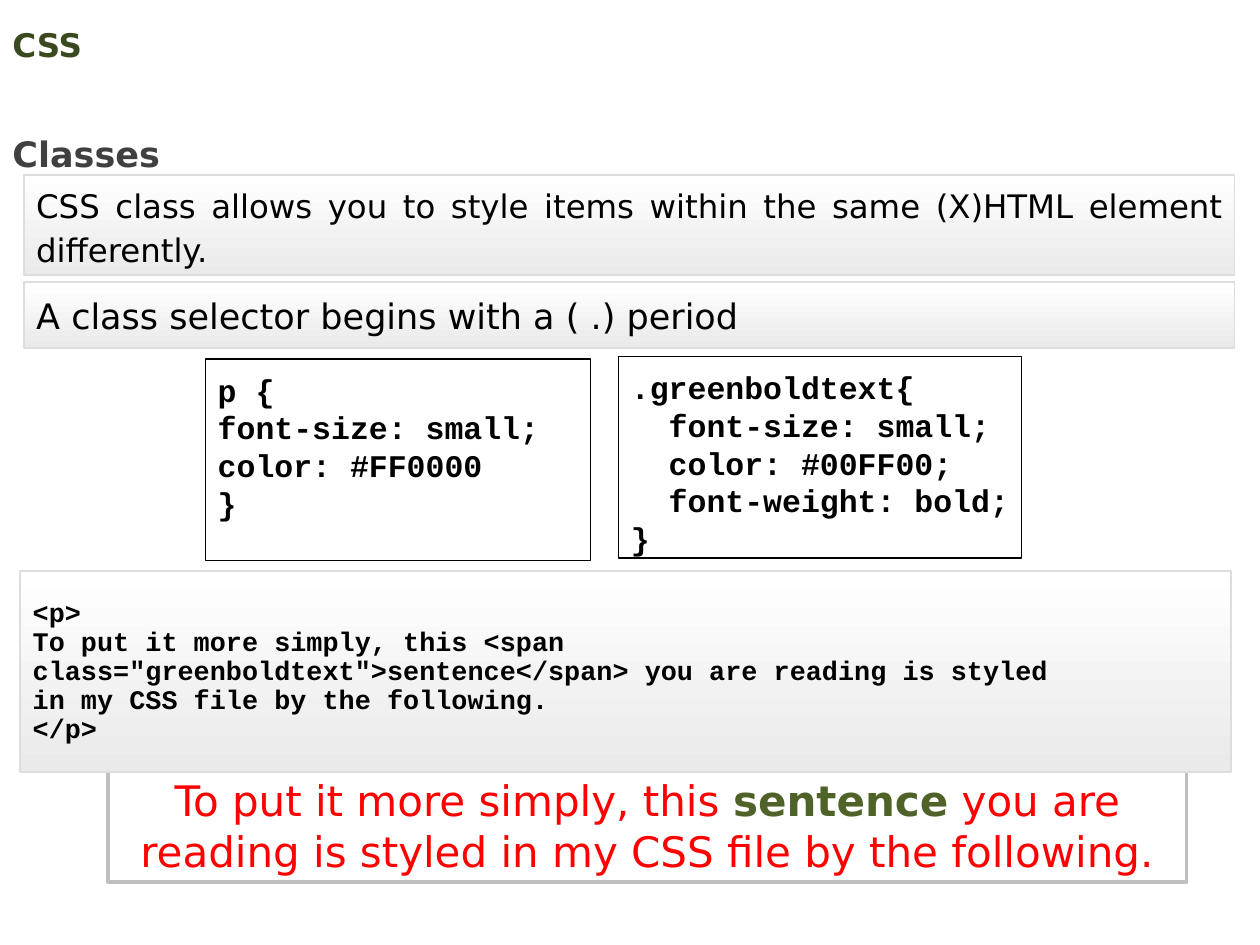
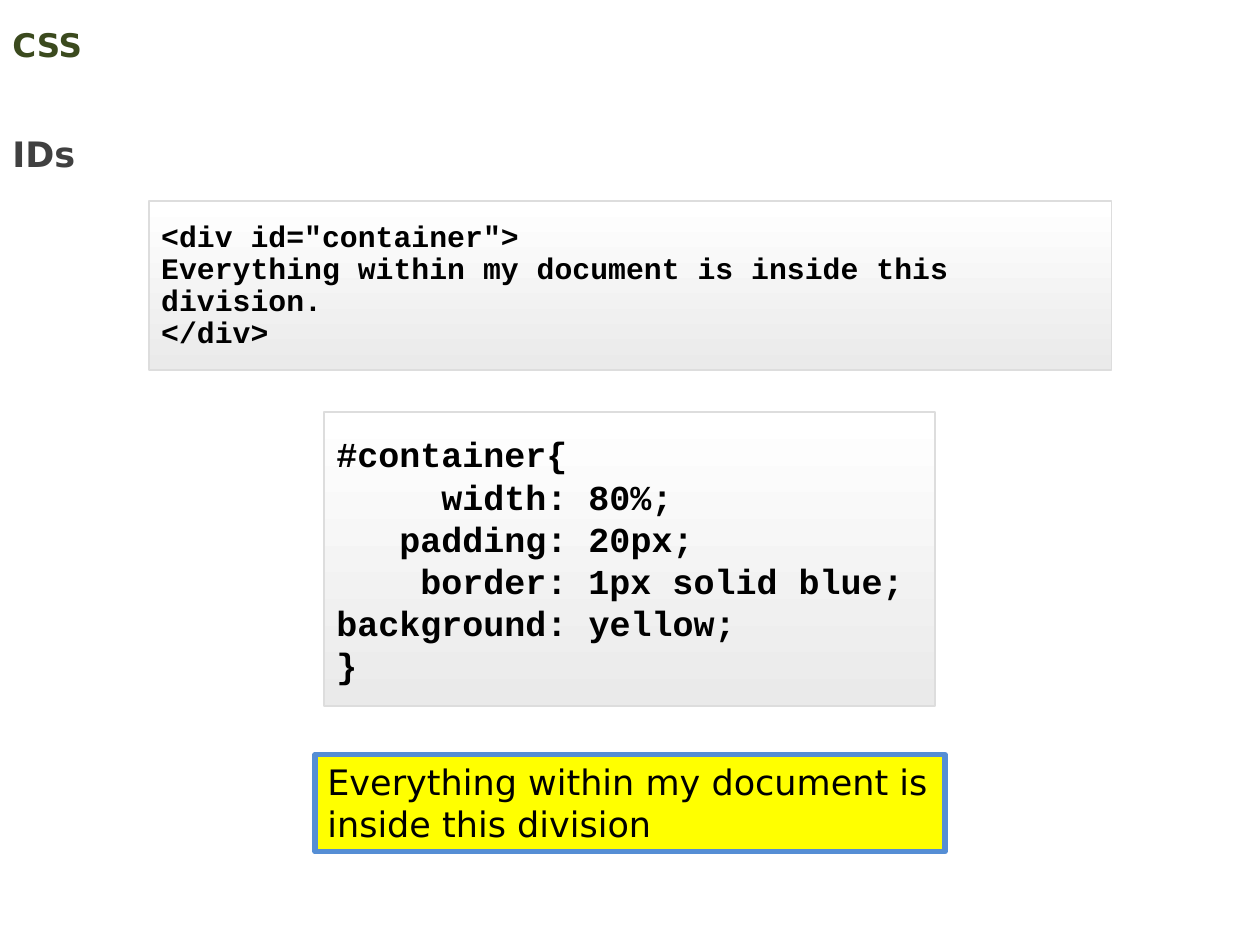
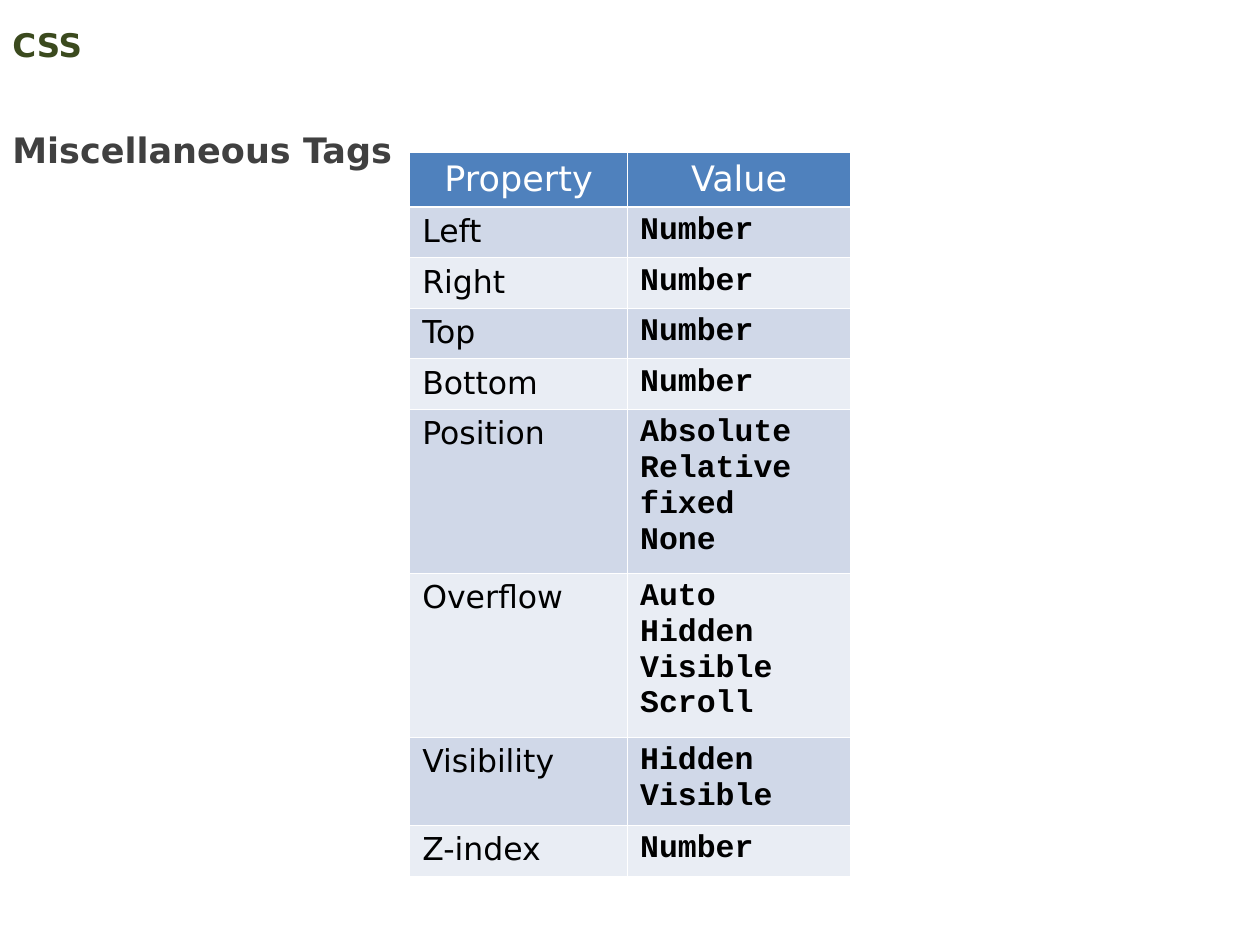
from lxml.etree import SubElement
from pptx import Presentation
from pptx.dml.color import RGBColor
from pptx.enum.shapes import MSO_SHAPE as Preset
from pptx.enum.text import MSO_ANCHOR as Anchor, PP_ALIGN as Align
from pptx.oxml.ns import qn
from pptx.util import Cm, Pt

# Colours
BLACK = RGBColor(0x00, 0x00, 0x00)
WHITE = RGBColor(0xFF, 0xFF, 0xFF)
RED = RGBColor(0xFF, 0x00, 0x00)
YELLOW = RGBColor(0xFF, 0xFF, 0x00)
TITLE_GREEN = RGBColor(0x3B, 0x4A, 0x1E)
SENTENCE_GREEN = RGBColor(0x4F, 0x62, 0x28)
HEADING_GREY = RGBColor(0x40, 0x40, 0x40)
PANEL_GREY = RGBColor(0xEA, 0xEA, 0xEA)
PANEL_LINE = RGBColor(0xDD, 0xDD, 0xDD)
RESULT_LINE = RGBColor(0xBF, 0xBF, 0xBF)
RESULT_BLUE = RGBColor(0x55, 0x8E, 0xD5)
HEADER_BLUE = RGBColor(0x4F, 0x81, 0xBD)
ROW_BANDS = (RGBColor(0xD0, 0xD8, 0xE8), RGBColor(0xE9, 0xED, 0xF4))

# Text formats
BODY = {"name": "DejaVu Sans", "bold": False, "color": BLACK}
CODE = {"name": "Courier New", "bold": True, "color": BLACK}
TITLE = BODY | {"size": Pt(18.6), "bold": True, "color": TITLE_GREEN}
HEADING = BODY | {"size": Pt(20), "bold": True, "color": HEADING_GREY}
LEFT = {"alignment": Align.LEFT}
CENTRED = {"alignment": Align.CENTER}
STATEMENT = {"alignment": Align.JUSTIFY, "line_spacing": Pt(25), "space_after": Pt(5)}
TIGHT = LEFT | {"line_spacing": 0.9}
CODE_CHARACTER_WIDTH = 0.6  # share of the font size

SIDE_MARGIN, NARROW_MARGIN = Cm(0.25), Cm(0.13)
FRAME = {"word_wrap": True, "vertical_anchor": Anchor.TOP,
         "margin_left": SIDE_MARGIN, "margin_right": SIDE_MARGIN,
         "margin_top": NARROW_MARGIN, "margin_bottom": NARROW_MARGIN}
PANEL_FRAME = FRAME | {"vertical_anchor": Anchor.MIDDLE,
                       "margin_top": SIDE_MARGIN, "margin_bottom": SIDE_MARGIN}
RULE_FRAME = FRAME | {"margin_right": 0}


def apply(target, values):
    for name, value in values.items():
        setattr(target, name, value)


def add_run(paragraph, text, font):
    run = paragraph.add_run()
    run.text = text
    apply(run.font, {key: value for key, value in font.items() if key != "color"})
    run.font.color.rgb = font["color"]


def write(frame, lines, font, layout=LEFT):
    """Write one paragraph a line; a line is a string or a list of (text, font changes)."""
    for number, line in enumerate(lines):
        paragraph = frame.add_paragraph() if number else frame.paragraphs[0]
        apply(paragraph, layout)
        if isinstance(line, str):
            code = line.lstrip()
            depth = len(line) - len(code)
            if depth:
                indent = int(depth * CODE_CHARACTER_WIDTH * font["size"])
                paragraph._p.get_or_add_pPr().set("marL", str(indent))
            line = [(code, {})]
        for text, changes in line:
            add_run(paragraph, text, font | changes)


def add_label(slide, box, text, font, frame=FRAME, layout=LEFT):
    label = slide.shapes.add_textbox(*map(Cm, box))
    apply(label.text_frame, frame)
    write(label.text_frame, [text], font, layout)


def add_box(slide, box, lines, font, line, width, fill=None, frame=FRAME, layout=LEFT):
    shape = slide.shapes.add_shape(Preset.RECTANGLE, *map(Cm, box))
    shape.shadow.inherit = False
    shape.line.color.rgb = line
    shape.line.width = Pt(width)
    if fill is None:
        shape.fill.background()
    else:
        shape.fill.solid()
        shape.fill.fore_color.rgb = fill
    apply(shape.text_frame, frame)
    write(shape.text_frame, lines, font, layout)
    return shape


def add_panel(slide, box, lines, font, layout):
    panel = add_box(slide, box, lines, font, PANEL_LINE, 1, frame=PANEL_FRAME, layout=layout)
    panel.fill.gradient()
    panel.fill.gradient_angle = 270
    for stop, color in zip(panel.fill.gradient_stops, (WHITE, PANEL_GREY)):
        stop.color.rgb = color


def add_css_slide(presentation, heading, heading_top=2.11):
    slide = presentation.slides.add_slide(presentation.slide_layouts[6])
    add_label(slide, (0, 0.36, 22.86, 1.09), "CSS", TITLE,
              FRAME | {"vertical_anchor": Anchor.MIDDLE})
    add_label(slide, (0, heading_top, 9.78, 1.52), heading, HEADING,
              layout=LEFT | {"line_spacing": 1.5})
    return slide


def set_borders(cell, widths):
    properties = cell._tc.get_or_add_tcPr()
    for side, width in zip(("lnL", "lnR", "lnT", "lnB"), widths):
        border = SubElement(properties, qn(f"a:{side}"), w=str(Pt(width)))
        fill = SubElement(border, qn("a:solidFill"))
        SubElement(fill, qn("a:srgbClr"), val=str(WHITE))


def fill_cell(cell, lines, font, fill, layout, top=0.45, bottom=0.45):
    set_borders(cell, (0.45, 0.45, top, bottom))
    cell.fill.solid()
    cell.fill.fore_color.rgb = fill
    write(cell.text_frame, lines, font, layout)


def add_property_table(slide, left, top, column_widths, header, properties):
    heights = [1.09] + [0.26 + 0.76 * len(values) for _, values in properties]
    table = slide.shapes.add_table(
        len(heights), len(column_widths), Cm(left), Cm(top),
        Cm(sum(column_widths)), Cm(sum(heights))).table
    for column, width in zip(table.columns, column_widths):
        column.width = Cm(width)
    for row, height in zip(table.rows, heights):
        row.height = Cm(height)

    thick = 1.47  # line under the header
    header_font = BODY | {"size": Pt(20), "color": WHITE}
    for column, text in enumerate(header):
        fill_cell(table.cell(0, column), [text], header_font, HEADER_BLUE, CENTRED, bottom=thick)
    for row, (name, values) in enumerate(properties, 1):
        for column, (lines, font) in enumerate((([name], BODY), (values, CODE))):
            fill_cell(table.cell(row, column), lines, font | {"size": Pt(18)},
                      ROW_BANDS[(row - 1) % 2], LEFT, top=thick if row == 1 else 0.45)


def build_classes(presentation):
    slide = add_css_slide(presentation, "Classes")

    # Rendered sentence, partly behind the markup panel
    sentence = [("To put it more simply, this ", {}),
                ("sentence", {"bold": True, "color": SENTENCE_GREEN}),
                (" you are reading is styled in my CSS file by the following.", {})]
    add_box(slide, (2.18, 15.49, 21.74, 2.29), [sentence],
            BODY | {"size": Pt(24), "color": RED}, RESULT_LINE, 2, WHITE, layout=CENTRED)

    # Statements
    add_panel(slide, (0.48, 3.53, 24.41, 2.01),
              ["CSS class allows you to style items within the same (X)HTML element differently."],
              BODY | {"size": Pt(18.5)}, STATEMENT)
    add_panel(slide, (0.48, 5.69, 24.41, 1.32),
              ["A class selector begins with a ( .) period"],
              BODY | {"size": Pt(20)}, STATEMENT)

    # Markup
    add_panel(slide, (0.41, 11.51, 24.41, 4.06),
              ["<p>",
               "To put it more simply, this <span",
               'class="greenboldtext">sentence</span> you are reading is styled',
               "in my CSS file by the following.",
               "</p>"],
              CODE | {"size": Pt(15.3)}, TIGHT)

    # Style rules
    rules = (
        ((4.14, 7.24, 7.77, 4.06),
         ["p {", "font-size: small;", "color: #FF0000", "}"]),
        ((12.47, 7.19, 8.13, 4.06),
         [".greenboldtext{", "  font-size: small;", "  color: #00FF00;",
          "  font-weight: bold;", "}"]),
    )
    for box, lines in rules:
        add_box(slide, box, lines, CODE | {"size": Pt(18)}, BLACK, 0.75,
                frame=RULE_FRAME | {"margin_top": Cm(0.23), "margin_bottom": 0})


def build_ids(presentation):
    slide = add_css_slide(presentation, "IDs")
    add_panel(slide, (3, 4.06, 19.41, 3.4),
              ['<div id="container">',
               "Everything within my document is inside this division.",
               "</div>"],
              CODE | {"size": Pt(17)}, TIGHT)
    add_panel(slide, (6.53, 8.31, 12.32, 5.92),
              ["#container{",
               "     width: 80%;",
               "   padding: 20px;",
               "    border: 1px solid blue;",
               "background: yellow;",
               "}"],
              CODE | {"size": Pt(20)}, LEFT)
    add_box(slide, (6.35, 15.21, 12.7, 1.96),
            ["Everything within my document is inside this division"],
            BODY | {"size": Pt(20)}, RESULT_BLUE, 3, YELLOW)


def build_miscellaneous(presentation):
    slide = add_css_slide(presentation, "Miscellaneous Tags", heading_top=2.03)
    number = ["Number"]
    properties = [
        ("Left", number),
        ("Right", number),
        ("Top", number),
        ("Bottom", number),
        ("Position", ["Absolute", "Relative", "fixed", "None"]),
        ("Overflow", ["Auto", "Hidden", "Visible", "Scroll"]),
        ("Visibility", ["Hidden", "Visible"]),
        ("Z-index", number),
    ]
    add_property_table(slide, 8.26, 3.07, (4.39, 4.5), ("Property", "Value"), properties)


def main():
    presentation = Presentation()
    apply(presentation, {"slide_width": Cm(25.4), "slide_height": Cm(19.05)})
    build_classes(presentation)
    build_ids(presentation)
    build_miscellaneous(presentation)
    presentation.save("out.pptx")


if __name__ == "__main__":
    main()
